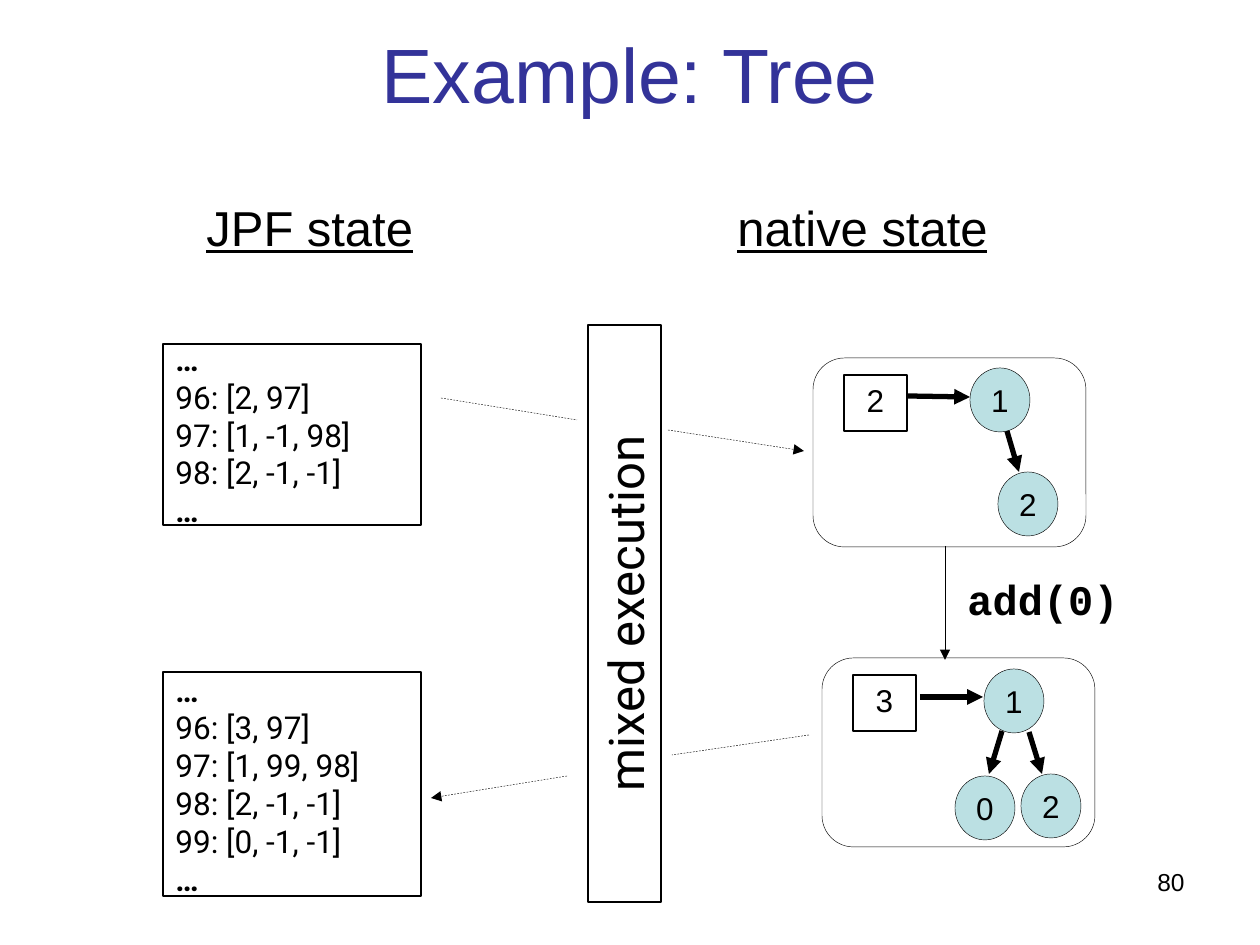
from lxml import etree
from pptx import Presentation
from pptx.dml.color import RGBColor
from pptx.enum.dml import MSO_LINE
from pptx.enum.shapes import MSO_CONNECTOR, MSO_SHAPE
from pptx.enum.text import MSO_ANCHOR, PP_ALIGN
from pptx.oxml.ns import qn
from pptx.util import Pt

RECT, ROUND, OVAL = MSO_SHAPE.RECTANGLE, MSO_SHAPE.ROUNDED_RECTANGLE, MSO_SHAPE.OVAL
LEFT, CENTER, RIGHT = PP_ALIGN.LEFT, PP_ALIGN.CENTER, PP_ALIGN.RIGHT
TOP, MIDDLE = MSO_ANCHOR.TOP, MSO_ANCHOR.MIDDLE
STRAIGHT, DASH = MSO_CONNECTOR.STRAIGHT, MSO_LINE.DASH
PX = 914400 / 126
rgb = RGBColor.from_string


def add_box(kind, box, text="", size=18, font="Arial", color="000000", align=CENTER,
            anchor=MIDDLE, wrap=False, spacing=None, fill=None, line=0.75):
    box = [round(v * PX) for v in box]
    if kind is None:
        sp = s.shapes.add_textbox(*box)
    else:
        sp = s.shapes.add_shape(kind, *box)
        sp.shadow.inherit = False
        sp.line.color.rgb = rgb("000000")
        sp.line.width = Pt(line)
        if fill:
            sp.fill.solid()
            sp.fill.fore_color.rgb = rgb(fill)
        else:
            sp.fill.background()
    tf = sp.text_frame
    tf.word_wrap = wrap
    tf.vertical_anchor = anchor
    tf.text = text
    for p in tf.paragraphs:
        p.alignment = align
        if spacing:
            p.line_spacing = spacing
        for r in p.runs:
            r.font.size = Pt(size)
            r.font.name = font
            r.font.color.rgb = rgb(color)
            r.font.bold = r.text == "…" or font == "Courier New"
    return sp


def add_line(points, width, arrow=True, dash=False):
    c = s.shapes.add_connector(STRAIGHT, *[round(v * PX) for v in points])
    c.line.color.rgb = rgb("000000")
    c.line.width = Pt(width)
    if dash:
        c.line.dash_style = DASH
    if arrow:
        ln = c.line._get_or_add_ln()
        etree.SubElement(ln, qn("a:tailEnd"), type="triangle")
    etree.SubElement(c._element.spPr, qn("a:effectLst"))


prs = Presentation()
prs.slide_width, prs.slide_height = round(1260 * PX), round(945 * PX)
s = prs.slides.add_slide(prs.slide_layouts[6])

add_box(None, (0, 0, 1260, 158), "Example: Tree", 44, color="333399", wrap=True, spacing=0.87)

for x, w, heading in [(194, 232, "JPF state"), (725, 275, "native state")]:
    sp = add_box(None, (x, 199, w, 64), heading, 28, align=LEFT, anchor=TOP, spacing=0.87)
    sp.text_frame.paragraphs[0].runs[0].font.underline = True

states = [
    (344, 181, ["96: [2, 97]", "97: [1, -1, 98]", "98: [2, -1, -1]"]),
    (672, 224, ["96: [3, 97]", "97: [1, 99, 98]", "98: [2, -1, -1]", "99: [0, -1, -1]"]),
]
for y, h, rows in states:
    add_box(RECT, (163, y, 258, h), "\n".join(["…", *rows, "…"]), font="Roboto",
            align=LEFT, wrap=True)

trees = [
    (813, 358, "2",
     [(970, 368, "1"), (998, 472, "2")],
     [(907, 396, 970, 397), (1007, 431, 1019, 472)]),
    (822, 658, "3",
     [(984, 669, "1"), (955, 776, "0"), (1021, 774, "2")],
     [(920, 697, 983, 697), (1002, 731, 989, 774), (1029, 732, 1042, 774)]),
]
for x, y, count, nodes, edges in trees:
    add_box(ROUND, (x, y, 273, 189), line=0.25)
    add_box(RECT, (x + 31, y + 17, 63, 56), count, spacing=0.87)
    for node_x, node_y, label in nodes:
        add_box(OVAL, (node_x, node_y, 60, 64), label, fill="BBE0E3", line=0.25)
    for edge in edges:
        add_line(edge, 3)

sp = add_box(RECT, (336, 577, 577, 73), "mixed execution", 28, "Roboto", fill="FFFFFF")
sp.rotation = 270

transfers = [
    ((441, 398, 577, 420), False),
    ((668, 430, 804, 451), True),
    ((809, 735, 672, 755), False),
    ((567, 776, 431, 798), True),
]
for points, arrow in transfers:
    add_line(points, 0.25, arrow, dash=True)

add_line((945, 546, 945, 660), 0.25)
add_box(None, (955, 567, 176, 63), "add(0)", 24, "Courier New", anchor=TOP)
add_box(None, (903, 861, 294, 66), "80", 14, align=RIGHT, anchor=TOP, wrap=True)

prs.save("out.pptx")
